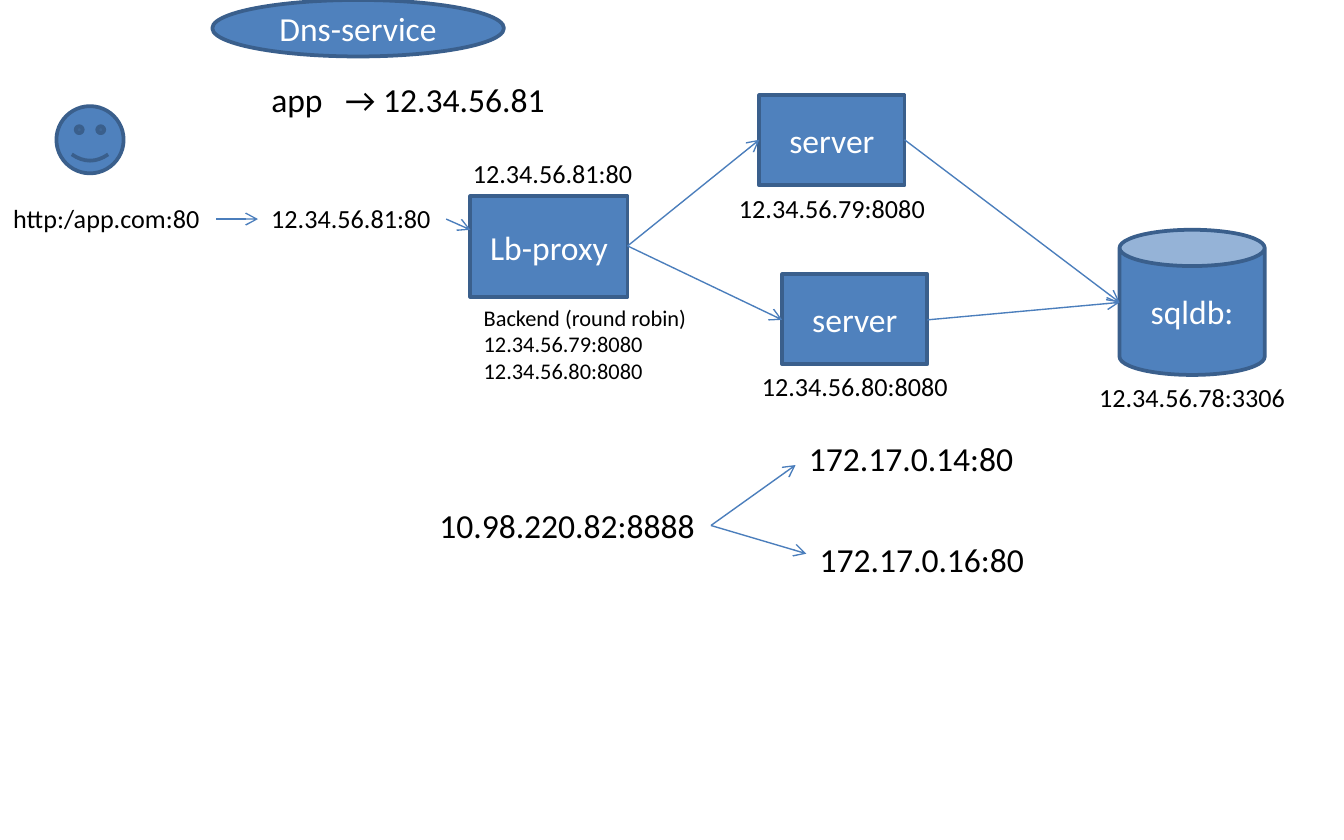
from lxml import etree
from pptx import Presentation
from pptx.dml.color import RGBColor
from pptx.enum.shapes import MSO_CONNECTOR, MSO_SHAPE
from pptx.enum.text import MSO_ANCHOR, MSO_AUTO_SIZE, PP_ALIGN
from pptx.oxml.ns import qn
from pptx.util import Inches, Pt


def paint(color_format, color):
    """Give a fill or font colour a hex value."""
    color_format.rgb = RGBColor.from_string(color)


def write(text_frame, text, size=18, color="000000", align=PP_ALIGN.LEFT, tab=None):
    """Write text, one paragraph a line, with an optional tab stop in inches."""
    text_frame.text = text
    for paragraph in text_frame.paragraphs:
        paragraph.alignment = align
        paragraph.font.size = Pt(size)
        paragraph.font.name = "Calibri"
        paint(paragraph.font.color, color)
        if tab:
            properties = paragraph._p.get_or_add_pPr()
            tab_list = etree.Element(qn("a:tabLst"))
            etree.SubElement(tab_list, qn("a:tab"), pos=str(Inches(tab)), algn="l")
            properties.insert(0, tab_list)


presentation = Presentation()
presentation.slide_width = Inches(10)
presentation.slide_height = Inches(6.25)
slide = presentation.slides.add_slide(presentation.slide_layouts[6])

nodes = [
    (MSO_SHAPE.OVAL, 1.58, 0, 2.17, 0.42, "Dns-service"),
    (MSO_SHAPE.SMILEY_FACE, 0.42, 0.79, 0.5, 0.5, ""),
    (MSO_SHAPE.RECTANGLE, 3.5, 1.46, 1.17, 0.75, "Lb-proxy"),
    (MSO_SHAPE.RECTANGLE, 5.65, 0.71, 1.08, 0.67, "server"),
    (MSO_SHAPE.RECTANGLE, 5.82, 2.04, 1.08, 0.67, "server"),
    (MSO_SHAPE.CAN, 8.33, 1.71, 1.08, 1.08, "sqldb:"),
]
for kind, left, top, width, height, text in nodes:
    shape = slide.shapes.add_shape(
        kind, Inches(left), Inches(top), Inches(width), Inches(height))
    shape.shadow.inherit = False
    shape.fill.solid()
    paint(shape.fill.fore_color, "4F81BD")
    paint(shape.line.color, "3A5F8C")
    shape.line.width = Pt(2)
    if text:
        shape.text_frame.vertical_anchor = MSO_ANCHOR.MIDDLE
        write(shape.text_frame, text, color="FFFFFF", align=PP_ALIGN.CENTER)

labels = [
    (1.92, 0.54, 2.28, 0.4, 18, "app\t→ 12.34.56.81", 0.55),
    (0, 1.46, 1.61, 0.34, 14, "http:/app.com:80", None),
    (1.92, 1.46, 1.4, 0.34, 14, "12.34.56.81:80", None),
    (3.42, 1.12, 1.4, 0.34, 14, "12.34.56.81:80", None),
    (3.5, 2.21, 1.72, 0.71, 12,
     "Backend (round robin)\n12.34.56.79:8080\n12.34.56.80:8080", None),
    (5.4, 1.38, 1.6, 0.34, 14, "12.34.56.79:8080", None),
    (5.57, 2.71, 1.6, 0.34, 14, "12.34.56.80:8080", None),
    (8.08, 2.79, 1.6, 0.34, 14, "12.34.56.78:3306", None),
    (3.17, 3.71, 2.12, 0.4, 18, "10.98.220.82:8888", None),
    (5.92, 3.21, 1.74, 0.4, 18, "172.17.0.14:80", None),
    (6, 3.96, 1.74, 0.4, 18, "172.17.0.16:80", None),
]
for left, top, width, height, size, text, tab in labels:
    label = slide.shapes.add_textbox(
        Inches(left), Inches(top), Inches(width), Inches(height))
    label.text_frame.word_wrap = False
    label.text_frame.auto_size = MSO_AUTO_SIZE.SHAPE_TO_FIT_TEXT
    write(label.text_frame, text, size=size, tab=tab)

proxy_exit = (4.67, 1.83)
database_entry = (8.33, 2.25)
cluster_exit = (5.29, 3.91)
arrows = [
    ((1.61, 1.63), (1.92, 1.63)),
    ((3.32, 1.63), (3.5, 1.71)),
    (proxy_exit, (5.65, 1.04)),
    (proxy_exit, (5.82, 2.38)),
    ((6.73, 1.04), database_entry),
    ((6.9, 2.38), database_entry),
    (cluster_exit, (5.92, 3.46)),
    (cluster_exit, (6, 4.12)),
]
for start, end in arrows:
    arrow = slide.shapes.add_connector(
        MSO_CONNECTOR.STRAIGHT, *[Inches(value) for value in start + end])
    paint(arrow.line.color, "4B7EBC")
    arrow.line.width = Pt(0.75)
    etree.SubElement(arrow.line._get_or_add_ln(), qn("a:tailEnd"), type="arrow")
    etree.SubElement(arrow._element.spPr, qn("a:effectLst"))

presentation.save("out.pptx")
